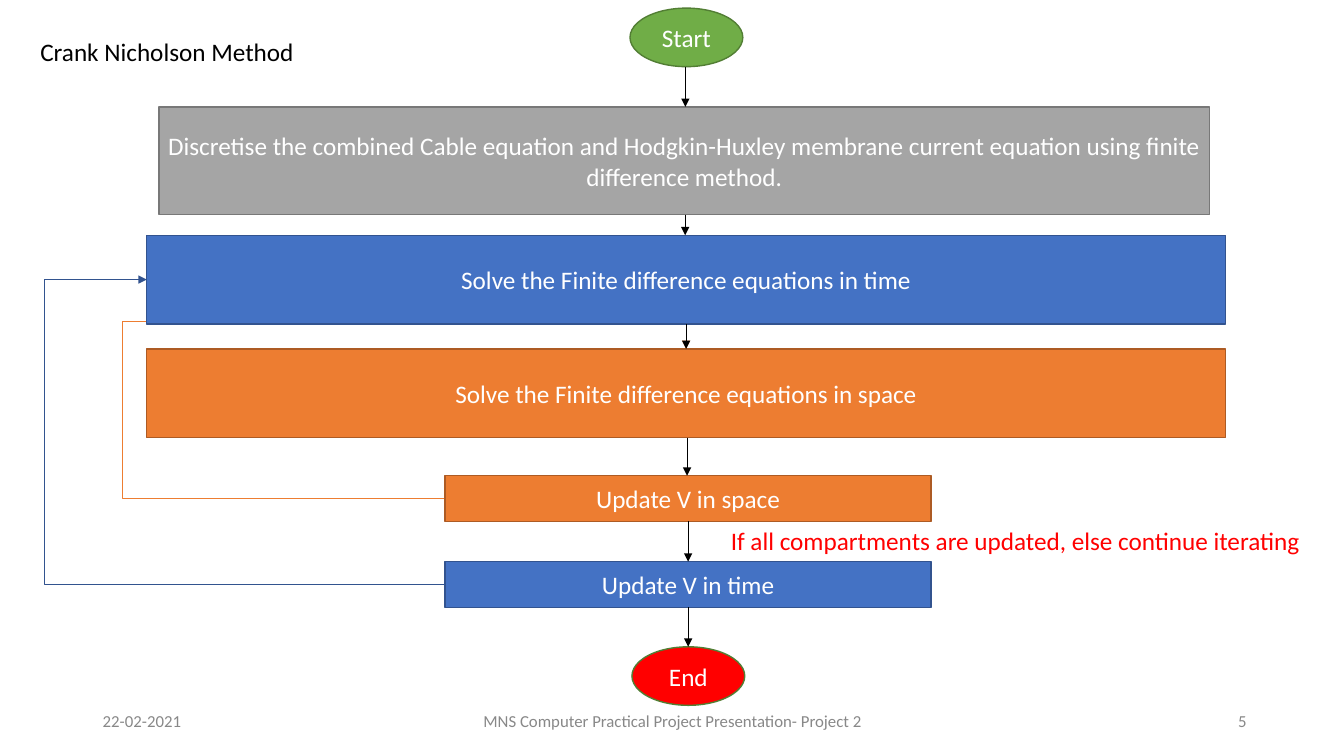
from lxml.etree import SubElement
from pptx import Presentation
from pptx.dml.color import RGBColor
from pptx.enum.shapes import MSO_CONNECTOR, MSO_SHAPE
from pptx.enum.text import MSO_ANCHOR, PP_ALIGN
from pptx.oxml.ns import qn
from pptx.util import Pt

WHITE = RGBColor(0xFF, 0xFF, 0xFF)
BLACK = RGBColor(0x00, 0x00, 0x00)
RED = RGBColor(0xFF, 0x00, 0x00)
GREEN = RGBColor(0x70, 0xAD, 0x47)
DARK_GREEN = RGBColor(0x52, 0x7E, 0x34)
GRAY = RGBColor(0xA5, 0xA5, 0xA5)
DARK_GRAY = RGBColor(0x78, 0x78, 0x78)
BLUE = RGBColor(0x44, 0x72, 0xC4)
DARK_BLUE = RGBColor(0x32, 0x53, 0x8F)
ORANGE = RGBColor(0xED, 0x7D, 0x31)
DARK_ORANGE = RGBColor(0xAD, 0x5B, 0x24)
FOOTER_GRAY = RGBColor(0x88, 0x88, 0x88)

START_BOX = (450, 5.8, 80.6, 41.8)
DISCRETISE_BOX = (113.6, 76.4, 750.4, 77)
TIME_BOX = (104.8, 168, 770.6, 63.4)
SPACE_BOX = (104.8, 249.2, 770.6, 63.4)
UPDATE_SPACE_BOX = (318, 339.8, 347, 32.6)
UPDATE_TIME_BOX = (318, 401.2, 347, 32.6)
END_BOX = (451.4, 462, 80.6, 41.8)
FLOW = (START_BOX, DISCRETISE_BOX, TIME_BOX, SPACE_BOX,
        UPDATE_SPACE_BOX, UPDATE_TIME_BOX, END_BOX)


def center_x(box):
    return box[0] + box[2] / 2


def write_text(shape, text, size, color, align, anchor):
    frame = shape.text_frame
    frame.word_wrap = True
    frame.vertical_anchor = anchor
    frame.margin_left = frame.margin_right = Pt(3.6)
    frame.margin_top = frame.margin_bottom = Pt(3.6)
    paragraph = frame.paragraphs[0]
    paragraph.alignment = align
    run = paragraph.add_run()
    run.text = text
    run.font.name = "Calibri"
    run.font.size = Pt(size)
    run.font.color.rgb = color


def add_label(slide, box, text, color, size=18, align=PP_ALIGN.LEFT,
              anchor=MSO_ANCHOR.TOP):
    label = slide.shapes.add_textbox(*map(Pt, box))
    write_text(label, text, size, color, align, anchor)


def add_step(slide, box, text, fill, outline, kind=MSO_SHAPE.RECTANGLE):
    step = slide.shapes.add_shape(kind, *map(Pt, box))
    step.shadow.inherit = False
    step.fill.solid()
    step.fill.fore_color.rgb = fill
    step.line.color.rgb = outline
    step.line.width = Pt(1)
    write_text(step, text, 18, WHITE, PP_ALIGN.CENTER, MSO_ANCHOR.MIDDLE)


def style_arrow(shape, color, width):
    shape.line.color.rgb = color
    shape.line.width = Pt(width)
    SubElement(shape.line._get_or_add_ln(), qn("a:tailEnd"), type="triangle")


def add_flow_arrow(slide, upper, lower):
    x = (center_x(upper) + center_x(lower)) / 2
    arrow = slide.shapes.add_connector(
        MSO_CONNECTOR.STRAIGHT, Pt(x), Pt(upper[1] + upper[3]), Pt(x), Pt(lower[1]))
    style_arrow(arrow, BLACK, 0.5)
    SubElement(arrow._element.spPr, qn("a:effectLst"))


def add_loop(slide, points, color, width):
    first, *others = [(Pt(x), Pt(y)) for x, y in points]
    builder = slide.shapes.build_freeform(*first)
    builder.add_line_segments(others, close=False)
    loop = builder.convert_to_shape()
    loop.shadow.inherit = False
    loop.fill.background()
    style_arrow(loop, color, width)


def add_space_loop(slide, source, passed, target, lane):
    source_y = source[1] + source[3] / 2
    turn_y = passed[1] + passed[3] - 2.2
    x = center_x(target)
    add_loop(slide, [(source[0], source_y), (lane, source_y), (lane, turn_y),
                     (x, turn_y), (x, target[1])], ORANGE, 0.5)


def add_time_loop(slide, source, target, lane):
    source_y = source[1] + source[3] / 2
    target_y = target[1] + target[3] / 2
    add_loop(slide, [(source[0], source_y), (lane, source_y),
                     (lane, target_y), (target[0], target_y)], DARK_BLUE, 1)


def add_flowchart(slide):
    add_space_loop(slide, UPDATE_SPACE_BOX, TIME_BOX, SPACE_BOX, 87.2)
    add_time_loop(slide, UPDATE_TIME_BOX, TIME_BOX, 31.8)
    add_step(slide, START_BOX, "Start", GREEN, DARK_GREEN, MSO_SHAPE.OVAL)
    add_step(slide, DISCRETISE_BOX,
             "Discretise the combined Cable equation and Hodgkin-Huxley membrane "
             "current equation using finite difference method.", GRAY, DARK_GRAY)
    add_step(slide, TIME_BOX, "Solve the Finite difference equations in time",
             BLUE, DARK_BLUE)
    add_step(slide, SPACE_BOX, "Solve the Finite difference equations in space",
             ORANGE, DARK_ORANGE)
    add_step(slide, UPDATE_SPACE_BOX, "Update V in space", ORANGE, DARK_ORANGE)
    add_step(slide, UPDATE_TIME_BOX, "Update V in time", BLUE, DARK_BLUE)
    add_step(slide, END_BOX, "End", RED, DARK_GREEN, MSO_SHAPE.OVAL)
    for upper, lower in zip(FLOW, FLOW[1:]):
        add_flow_arrow(slide, upper, lower)


def add_footer(slide, top, height):
    for left, width, text, align in (
            (69.8, 209, "22-02-2021", PP_ALIGN.LEFT),
            (322, 317, "MNS Computer Practical Project Presentation- Project 2",
             PP_ALIGN.CENTER),
            (864, 30, "5", PP_ALIGN.RIGHT)):
        add_label(slide, (left, top, width, height), text, FOOTER_GRAY, 12,
                  align, MSO_ANCHOR.MIDDLE)


def main():
    presentation = Presentation()
    presentation.slide_width = Pt(960)
    presentation.slide_height = Pt(540)
    slide = presentation.slides.add_slide(presentation.slide_layouts[6])
    add_label(slide, (25.2, 22.4, 202, 28), "Crank Nicholson Method", BLACK)
    add_flowchart(slide)
    add_label(slide, (518.4, 371.6, 436, 28),
              "If all compartments are updated, else continue iterating", RED)
    add_footer(slide, 504, 21)
    presentation.save("out.pptx")


if __name__ == "__main__":
    main()
